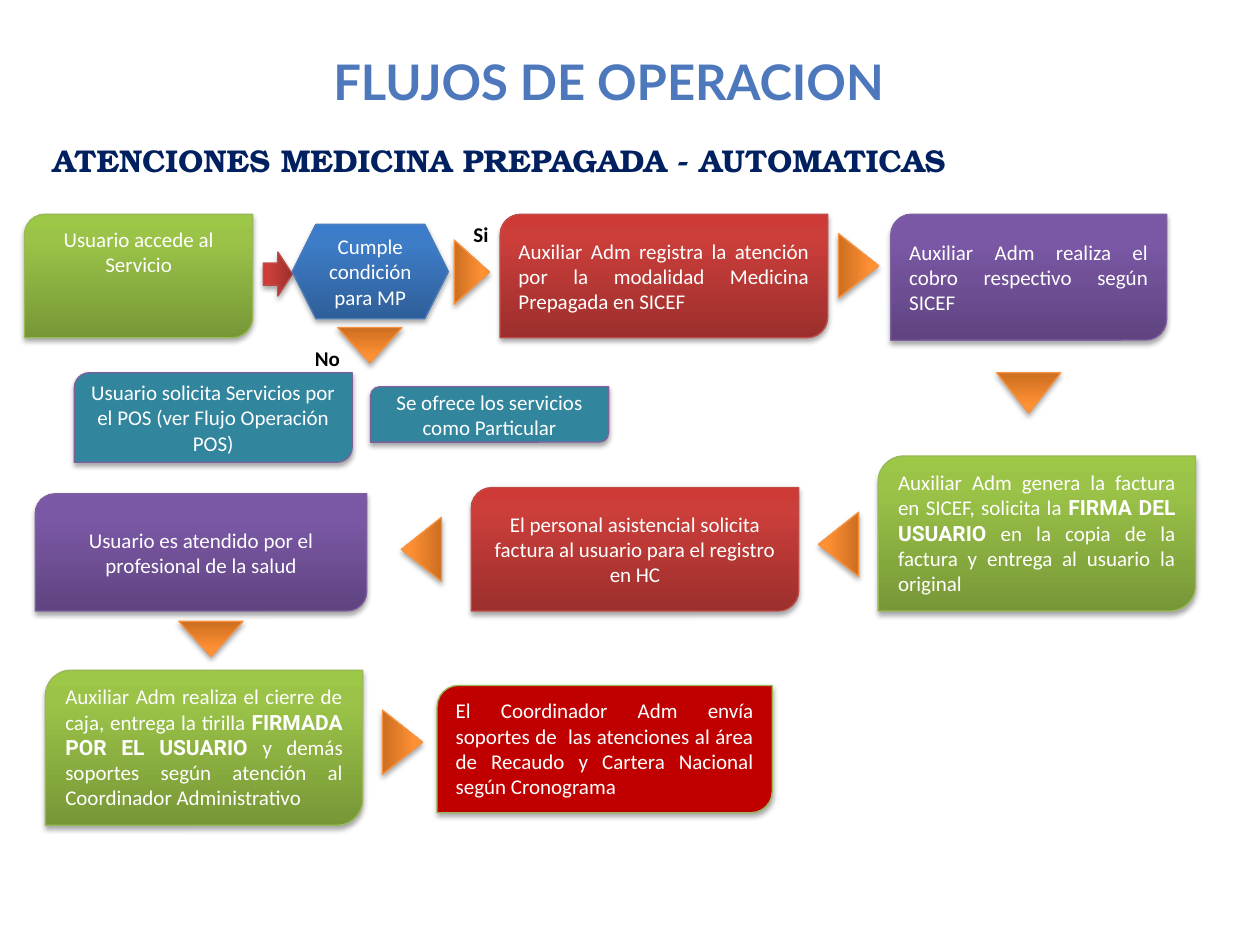
"""Builds the operation flow slide for automatic prepaid medicine care."""
from lxml.etree import Element, SubElement
from pptx import Presentation
from pptx.dml.color import RGBColor
from pptx.enum.shapes import MSO_SHAPE as Preset
from pptx.enum.text import MSO_ANCHOR as Anchor, MSO_AUTO_SIZE as AutoSize, PP_ALIGN as Align
from pptx.oxml.ns import qn
from pptx.util import Pt

WHITE = RGBColor(0xFF, 0xFF, 0xFF)
BLACK = RGBColor(0x00, 0x00, 0x00)
NAVY = RGBColor(0x00, 0x20, 0x60)
TEAL = RGBColor(0x31, 0x85, 0x9C)
DARK_RED = RGBColor(0xC0, 0x00, 0x00)
GREEN_LINE = RGBColor(0x98, 0xB9, 0x55)
RED_LINE = RGBColor(0xBF, 0x4C, 0x48)
BLUE_LINE = RGBColor(0x4B, 0x7E, 0xBC)
ORANGE_LINE = RGBColor(0xF6, 0x92, 0x40)
PURPLE_LINE = RGBColor(0x7D, 0x60, 0xA0)


def shades(*colors):
    return [(place, RGBColor.from_string(color)) for place, color in zip((0, 80, 100), colors)]


GREEN = shades("779737", "9BC348", "9DC746"), GREEN_LINE
RED = shades("9C2F2D", "CB3E3A", "CE3B37"), RED_LINE
BLUE = shades("2F5F99", "3D7CC7", "3A7CCB"), BLUE_LINE
ORANGE = shades("CC6E20", "FF9034", "FF9136"), ORANGE_LINE
PURPLE = shades("5F4480", "7B58A6", "7C57A8"), PURPLE_LINE
TEAL_STYLE = TEAL, PURPLE_LINE
ALERT_STYLE = DARK_RED, GREEN_LINE
TITLE_STOPS = [(0, RGBColor(0x74, 0x94, 0xC9)), (49, RGBColor(0x4D, 0x79, 0xBC)),
               (50, RGBColor(0x34, 0x6A, 0xAA)), (92, RGBColor(0x32, 0x5F, 0x94)),
               (100, RGBColor(0x31, 0x5D, 0x91))]
BODY = {"name": "Calibri", "size": Pt(12), "bold": False}
STRONG = {**BODY, "name": "Roboto", "bold": True}
LABEL = {**BODY, "bold": True}
TITLE = {"name": "Lato", "size": Pt(28), "bold": True}
SUBTITLE = {"name": "TeX Gyre Bonum", "size": Pt(18), "bold": True}


def paint(fill, properties, color, angle=270):
    """Fill with one colour, or with a gradient when given a list of stops."""
    fill.solid()
    if isinstance(color, RGBColor):
        fill.fore_color.rgb = color
        return
    gradient = Element(qn("a:gradFill"), rotWithShape="1")
    stops = SubElement(gradient, qn("a:gsLst"))
    for place, shade in color:
        stop = SubElement(stops, qn("a:gs"), pos=str(place * 1000))
        SubElement(stop, qn("a:srgbClr"), val=str(shade))
    SubElement(gradient, qn("a:lin"), ang=str(angle * 60000), scaled="0")
    properties.replace(properties.find(qn("a:solidFill")), gradient)


def add_shadow(shape):
    """Cast a soft black shadow downwards."""
    shape.shadow.inherit = False
    effects = shape._element.spPr.find(qn("a:effectLst"))
    shadow = SubElement(effects, qn("a:outerShdw"), blurRad=str(Pt(3.1)), dist=str(Pt(1.8)),
                        dir="5400000", rotWithShape="0")
    color = SubElement(shadow, qn("a:srgbClr"), val=str(BLACK))
    SubElement(color, qn("a:alpha"), val="35000")


def write(shape, pieces, alignment, color, anchor=Anchor.TOP):
    """Write one paragraph from pairs of text and format."""
    frame = shape.text_frame
    frame.word_wrap = True
    frame.vertical_anchor = anchor
    paragraph = frame.paragraphs[0]
    paragraph.alignment = alignment
    for text, style in pieces:
        run = paragraph.add_run()
        run.text = text
        for name, value in style.items():
            setattr(run.font, name, value)
        paint(run.font.fill, run._r.get_or_add_rPr(), color, 90)


def add_figure(slide, preset, place, style, rotation=0):
    """Add a filled, outlined and shadowed preset shape."""
    shape = slide.shapes.add_shape(preset, *map(Pt, place))
    fill, line = style
    paint(shape.fill, shape._element.spPr, fill)
    shape.line.color.rgb = line
    shape.line.width = Pt(0.75)
    shape.rotation = rotation
    add_shadow(shape)
    return shape


def add_step(slide, place, style, pieces, alignment=Align.CENTER, anchor=Anchor.MIDDLE,
             preset=Preset.ROUND_2_DIAG_RECTANGLE):
    """Add a flow step with white text."""
    if isinstance(pieces, str):
        pieces = [(pieces, BODY)]
    write(add_figure(slide, preset, place, style), pieces, alignment, WHITE, anchor)


def add_text(slide, place, text, style, color, alignment=Align.LEFT):
    """Add a text box."""
    box = slide.shapes.add_textbox(*map(Pt, place))
    write(box, [(text, style)], alignment, color)
    box.text_frame.auto_size = AutoSize.SHAPE_TO_FIT_TEXT


def main():
    """Build and save the slide."""
    presentation = Presentation()
    presentation.slide_width, presentation.slide_height = Pt(720), Pt(540)
    slide = presentation.slides.add_slide(presentation.slide_layouts[6])

    add_text(slide, (25.2, 26, 645, 41), "FLUJOS DE OPERACION", TITLE, TITLE_STOPS, Align.CENTER)
    add_text(slide, (23, 77, 663, 29), "ATENCIONES MEDICINA PREPAGADA - AUTOMATICAS", SUBTITLE, NAVY)

    add_figure(slide, Preset.DOWN_ARROW, (146.2, 148.3, 25.2, 16.6), RED, 270)
    for left, top, height, rotation in [
            (193, 187.2, 20.2, 180), (251.3, 145.4, 20.2, 90), (472.3, 140.4, 23, 90),
            (569.5, 213, 23, 180), (460.8, 299.5, 23, 270), (222.5, 302.4, 23, 270),
            (102.2, 355, 20.2, 180), (211.7, 412.6, 23, 90)]:
        add_figure(slide, Preset.ISOSCELES_TRIANGLE, (left, top, 36.7, height), ORANGE, rotation)

    add_step(slide, (14, 122.4, 130.5, 70.6), GREEN, "Usuario accede al Servicio", anchor=Anchor.TOP)
    add_step(slide, (167, 128.2, 89.3, 54), BLUE, "Cumple condición para MP", preset=Preset.HEXAGON)
    add_step(slide, (285.8, 122.4, 187.2, 70.6), RED,
             "Auxiliar Adm registra la atención por la modalidad Medicina Prepagada en SICEF",
             Align.JUSTIFY)
    add_step(slide, (509, 122.4, 157.7, 72), PURPLE,
             "Auxiliar Adm realiza el cobro respectivo según SICEF", Align.JUSTIFY)
    add_step(slide, (42.5, 213, 158.8, 51.1), TEAL_STYLE,
             "Usuario solicita Servicios por el POS (ver Flujo Operación POS)")
    add_step(slide, (211.7, 221, 136.1, 31.7), TEAL_STYLE, "Se ofrece los servicios como Particular")
    add_step(slide, (501.8, 260.6, 181.4, 88.6), GREEN,
             [("Auxiliar Adm genera la factura en SICEF, solicita la ", BODY),
              ("FIRMA DEL USUARIO", STRONG),
              (" en la copia de la factura y entrega al usuario la original", BODY)],
             Align.JUSTIFY, Anchor.TOP)
    add_step(slide, (269.3, 278.6, 187.2, 70.6), RED,
             "El personal asistencial solicita factura al usuario para el registro en HC")
    add_step(slide, (20.2, 282.2, 189.4, 67), PURPLE, "Usuario es atendido por el profesional de la salud")
    add_step(slide, (25.9, 383, 181.4, 88.6), GREEN,
             [("Auxiliar Adm realiza el cierre de caja, entrega la tirilla ", BODY),
              ("FIRMADA POR EL USUARIO ", STRONG),
              ("y demás soportes según atención al Coordinador Administrativo", BODY)],
             Align.JUSTIFY, Anchor.TOP)
    add_step(slide, (249.8, 391.7, 191.5, 72.7), ALERT_STYLE,
             "El Coordinador Adm envía soportes de  las atenciones al área de Recaudo "
             "y Cartera Nacional según Cronograma", Align.JUSTIFY, Anchor.TOP)

    add_text(slide, (172.8, 193.7, 39.6, 21.6), "No", LABEL, BLACK)
    add_text(slide, (263.5, 123.1, 28.8, 21.6), "Si", LABEL, BLACK)

    presentation.save("out.pptx")


if __name__ == "__main__":
    main()
